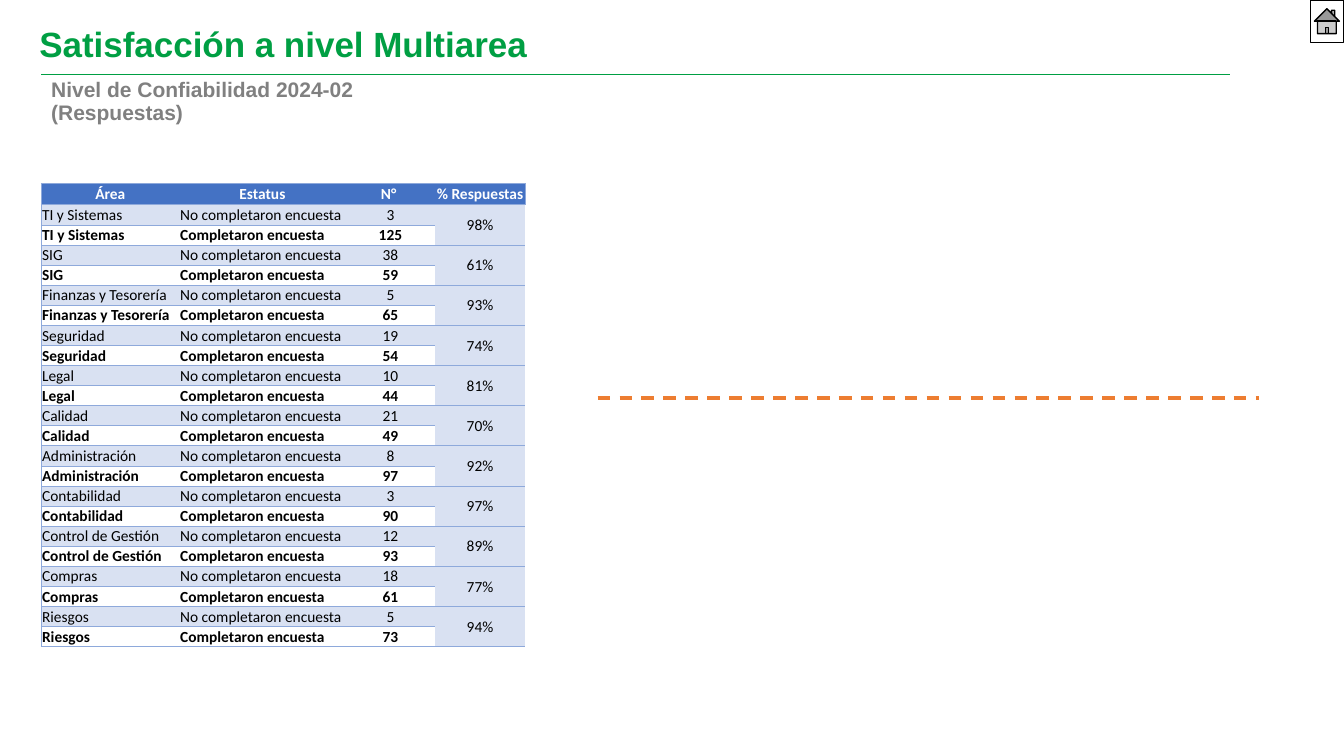
from dataclasses import dataclass

from lxml.etree import SubElement
from pptx import Presentation
from pptx.dml.color import RGBColor
from pptx.enum.dml import MSO_LINE
from pptx.enum.shapes import MSO_CONNECTOR, MSO_SHAPE
from pptx.enum.text import MSO_ANCHOR, PP_ALIGN
from pptx.oxml.ns import qn
from pptx.util import Cm, Pt

COLORS = {
    "green": "009F43",
    "gray": "808080",
    "white": "FFFFFF",
    "black": "000000",
    "header": "4472C4",
    "band": "D9E1F2",
    "border": "8EA9DB",
    "orange": "ED7D31",
}
HEADERS = ("Área", "Estatus", "N° ", "% Respuestas")
COLUMN_WIDTHS = (3.48, 4.19, 2.26, 2.26)
TABLE_HEIGHT = 11.68
HEADER_HEIGHT = 0.54
PLAIN_TABLE_STYLE = "{2D5ABB26-0587-4C30-8999-92F81FD0307C}"


@dataclass(frozen=True)
class Area:
    name: str
    pending: int
    completed: int

    @property
    def response_rate(self) -> str:
        return f"{self.completed / (self.pending + self.completed):.0%}"


AREAS = (
    Area("TI y Sistemas", 3, 125),
    Area("SIG", 38, 59),
    Area("Finanzas y Tesorería", 5, 65),
    Area("Seguridad", 19, 54),
    Area("Legal", 10, 44),
    Area("Calidad", 21, 49),
    Area("Administración", 8, 97),
    Area("Contabilidad", 3, 90),
    Area("Control de Gestión", 12, 93),
    Area("Compras", 18, 61),
    Area("Riesgos", 5, 73),
)


@dataclass(frozen=True)
class Rule:
    left: float
    right: float
    top: float
    color: str
    weight: float
    dash: MSO_LINE = MSO_LINE.SOLID


RULES = (
    Rule(1.04, 30.99, 1.88, "green", 0.5),
    Rule(15.06, 31.72, 10.03, "orange", 2.25, MSO_LINE.DASH),
)


def rgb(name: str) -> RGBColor:
    return RGBColor.from_string(COLORS[name])


def style_font(font, size: float, face: str, color: str, bold: bool) -> None:
    font.size = Pt(size)
    font.name = face
    font.bold = bold
    font.color.rgb = rgb(color)


def write_heading(shape, text: str, size: float, color: str) -> None:
    frame = shape.text_frame
    frame.word_wrap = True
    frame.vertical_anchor = MSO_ANCHOR.MIDDLE
    frame.margin_left = frame.margin_right = Cm(0.25)
    frame.margin_top = frame.margin_bottom = Cm(0.13)
    frame.text = text
    for paragraph in frame.paragraphs:
        paragraph.alignment = PP_ALIGN.LEFT
        paragraph.line_spacing = 0.9
        paragraph.space_before = Pt(0)
        for run in paragraph.runs:
            style_font(run.font, size, "Arial", color, True)


def add_rule(slide, rule: Rule) -> None:
    line = slide.shapes.add_connector(
        MSO_CONNECTOR.STRAIGHT, Cm(rule.left), Cm(rule.top), Cm(rule.right), Cm(rule.top)
    )
    line.line.color.rgb = rgb(rule.color)
    line.line.width = Pt(rule.weight)
    line.line.dash_style = rule.dash
    SubElement(line._element.spPr, qn("a:effectLst"))


def add_borders(cell, sides: str) -> None:
    """Draw the given sides, letters taken in the order L, R, T, B."""
    properties = cell._tc.get_or_add_tcPr()
    for side in sides:
        border = SubElement(properties, qn(f"a:ln{side}"), w=str(Pt(0.5)))
        fill = SubElement(border, qn("a:solidFill"))
        SubElement(fill, qn("a:srgbClr"), val=COLORS["border"])


def fill_cell(cell, text: str, sides: str, fill: str | None, color: str,
              bold: bool, centered: bool) -> None:
    add_borders(cell, sides)
    if fill:
        cell.fill.solid()
        cell.fill.fore_color.rgb = rgb(fill)
    else:
        cell.fill.background()
    cell.margin_left = cell.margin_right = cell.margin_top = Cm(0.02)
    cell.margin_bottom = 0
    cell.vertical_anchor = MSO_ANCHOR.MIDDLE
    cell.text = text
    paragraph = cell.text_frame.paragraphs[0]
    paragraph.alignment = PP_ALIGN.CENTER if centered else PP_ALIGN.LEFT
    style_font(paragraph.font, 11, "Calibri", color, bold)
    for run in paragraph.runs:
        style_font(run.font, 11, "Calibri", color, bold)


def add_response_table(slide) -> None:
    row_count = 1 + 2 * len(AREAS)
    frame = slide.shapes.add_table(
        row_count, len(HEADERS), Cm(1.04), Cm(4.62), Cm(sum(COLUMN_WIDTHS)), Cm(TABLE_HEIGHT)
    )
    table = frame.table
    table._tbl.tblPr.find(qn("a:tableStyleId")).text = PLAIN_TABLE_STYLE
    table.first_row = table.horz_banding = False
    for column, width in zip(table.columns, COLUMN_WIDTHS):
        column.width = Cm(width)
    for row in table.rows:
        row.height = Cm((TABLE_HEIGHT - HEADER_HEIGHT) / (row_count - 1))
    table.rows[0].height = Cm(HEADER_HEIGHT)

    for column, header in enumerate(HEADERS):
        sides = {0: "LTB", 3: "RTB"}.get(column, "TB")
        fill_cell(table.cell(0, column), header, sides, "header", "white", True, True)

    for index, area in enumerate(AREAS):
        top = 1 + 2 * index
        statuses = (
            ("No completaron encuesta", area.pending, "band", False),
            ("Completaron encuesta", area.completed, None, True),
        )
        for row, (status, count, fill, bold) in enumerate(statuses, start=top):
            for column, text in enumerate((area.name, status, str(count))):
                sides = "LTB" if column == 0 else "TB"
                fill_cell(table.cell(row, column), text, sides, fill, "black", bold, column == 2)
        rate = table.cell(top, 3)
        rate.merge(table.cell(top + 1, 3))
        fill_cell(rate, area.response_rate, "TB", "band", "black", False, True)
        add_borders(table.cell(top + 1, 3), "B")


def add_home_button(slide) -> None:
    home = slide.shapes.add_shape(
        MSO_SHAPE.ACTION_BUTTON_HOME, Cm(33.02), Cm(0), Cm(0.84), Cm(1.07)
    )
    home.shadow.inherit = False
    home.fill.solid()
    home.fill.fore_color.rgb = rgb("white")
    home.line.color.rgb = rgb("black")
    home.line.width = Pt(1)


def main() -> None:
    presentation = Presentation()
    presentation.slide_width, presentation.slide_height = Cm(33.87), Cm(19.05)
    slide = presentation.slides.add_slide(presentation.slide_layouts[5])

    title = slide.shapes.title
    title.left, title.top, title.width, title.height = Cm(0.74), Cm(0.61), Cm(29.44), Cm(1.12)
    write_heading(title, "Satisfacción a nivel Multiarea", 25, "green")
    subtitle = slide.shapes.add_textbox(Cm(1.04), Cm(2.21), Cm(12.37), Cm(0.74))
    write_heading(subtitle, "Nivel de Confiabilidad 2024-02\n(Respuestas)", 15, "gray")

    add_home_button(slide)
    add_response_table(slide)
    for rule in RULES:
        add_rule(slide, rule)
    presentation.save("out.pptx")


if __name__ == "__main__":
    main()
